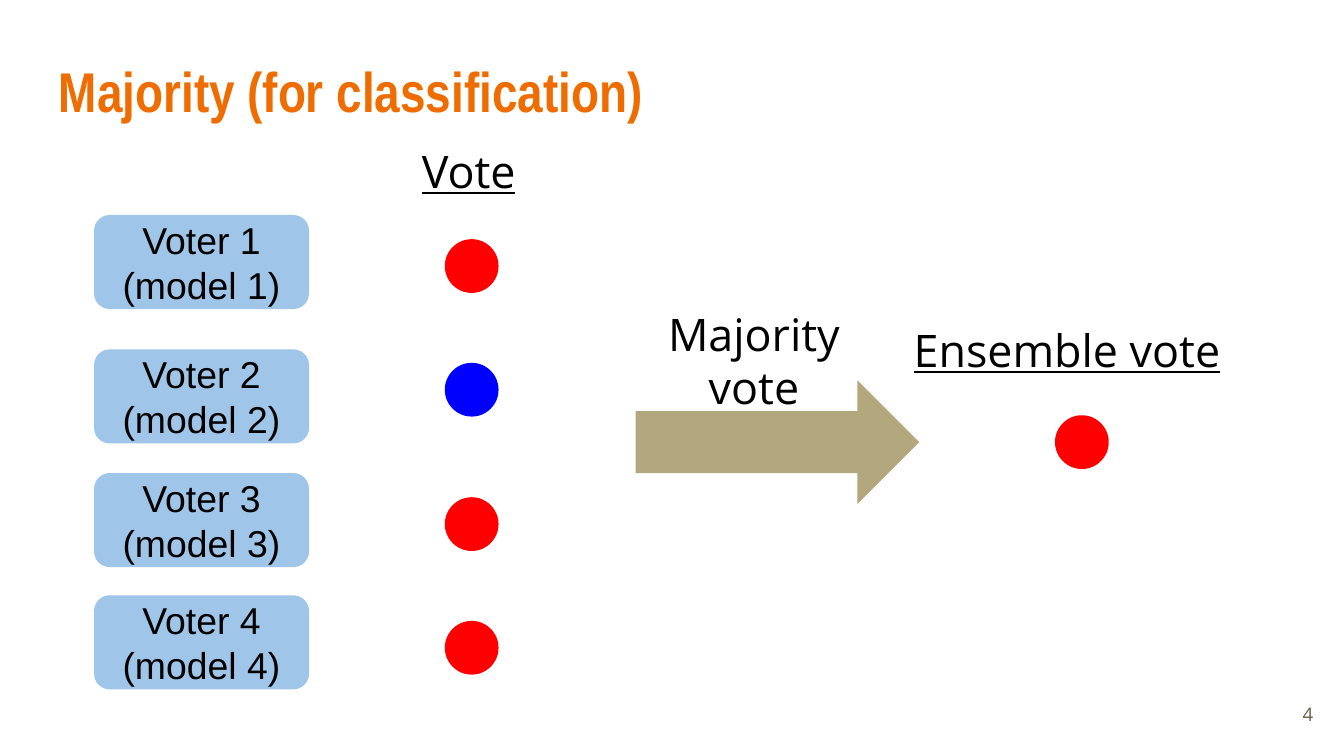
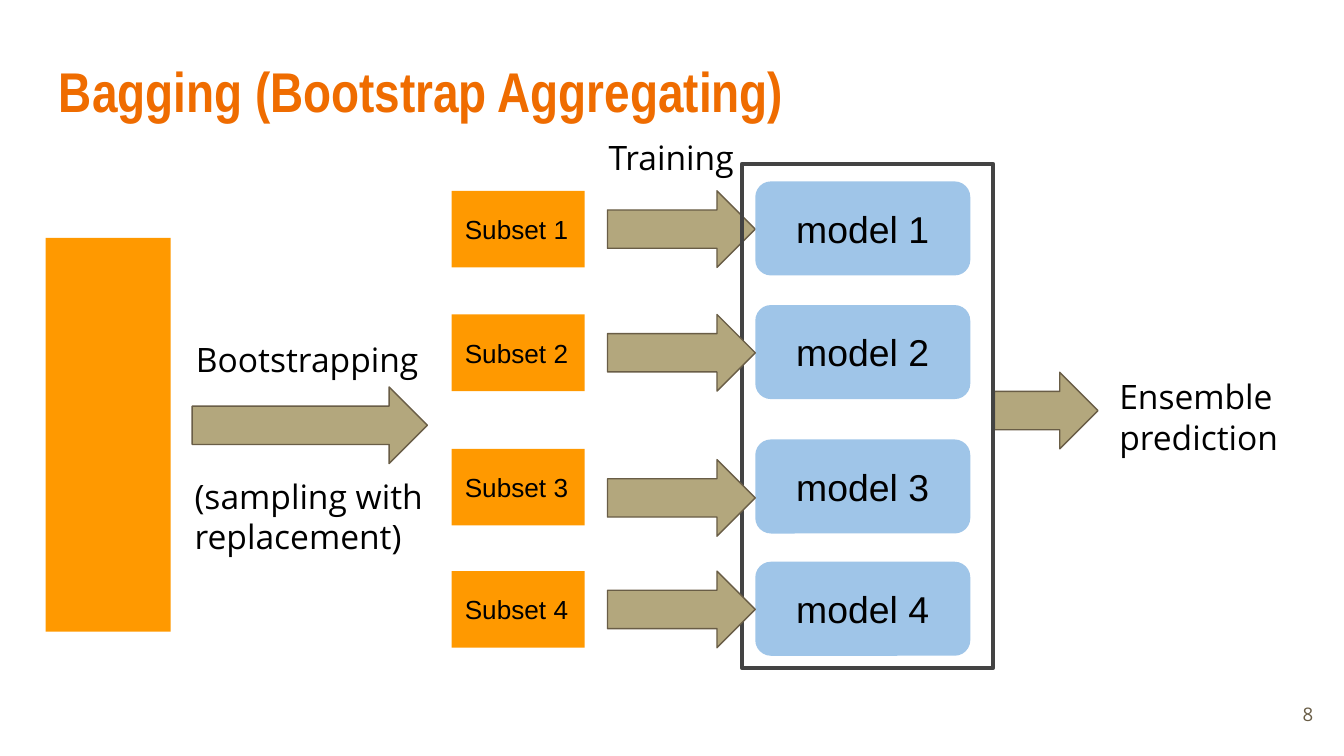
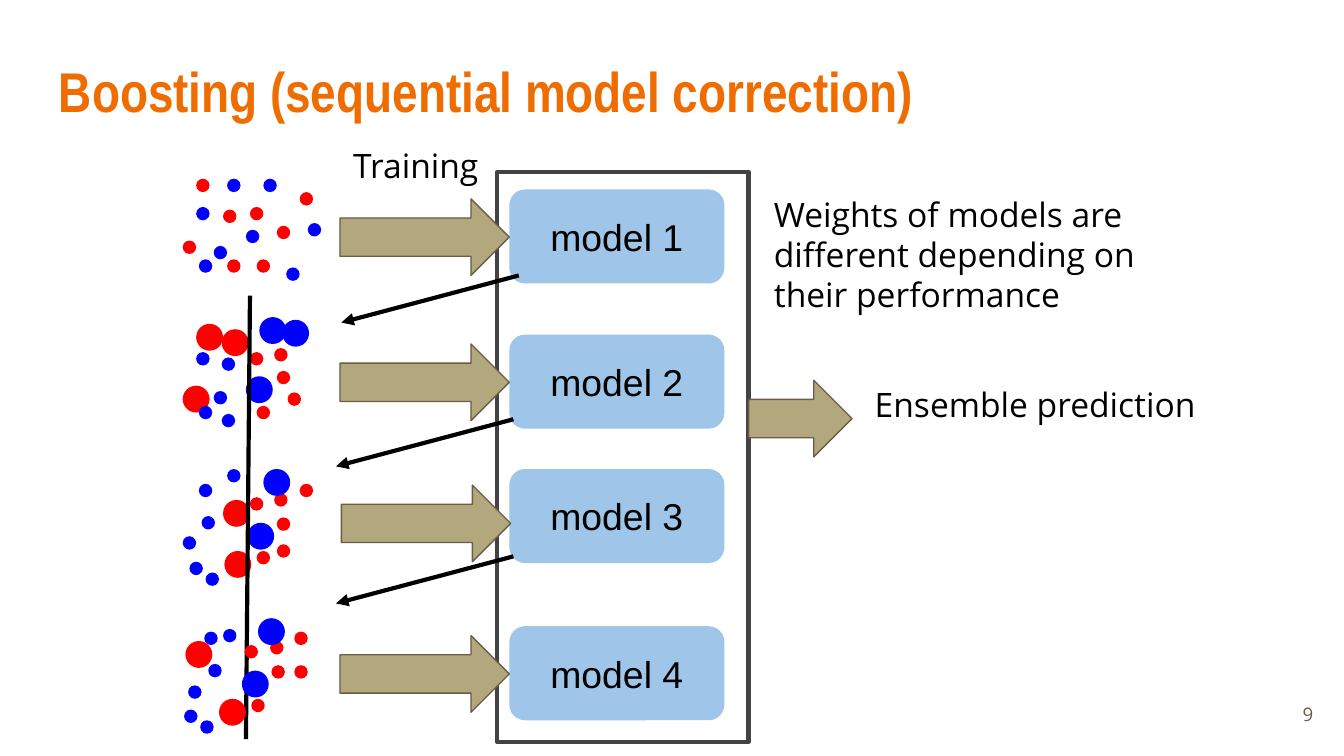
from lxml import etree
from pptx import Presentation
from pptx.dml.color import RGBColor
from pptx.enum.shapes import MSO_CONNECTOR, MSO_SHAPE
from pptx.enum.text import MSO_ANCHOR, PP_ALIGN
from pptx.oxml.ns import qn
from pptx.util import Inches, Pt

RECT = MSO_SHAPE.RECTANGLE
ROUND = MSO_SHAPE.ROUNDED_RECTANGLE
ARROW = MSO_SHAPE.RIGHT_ARROW
DOT = MSO_SHAPE.FLOWCHART_CONNECTOR
STRAIGHT = MSO_CONNECTOR.STRAIGHT
TOP, MIDDLE = MSO_ANCHOR.TOP, MSO_ANCHOR.MIDDLE
LEFT, CENTER, RIGHT = PP_ALIGN.LEFT, PP_ALIGN.CENTER, PP_ALIGN.RIGHT

BLACK = RGBColor(0x00, 0x00, 0x00)
TITLE = RGBColor(0xEF, 0x6C, 0x00)
ORANGE = RGBColor(0xFF, 0x99, 0x00)
SKY = RGBColor(0x9F, 0xC5, 0xE8)
KHAKI = RGBColor(0xB3, 0xA7, 0x7D)
BROWN = RGBColor(0x69, 0x5D, 0x46)
GRAY = RGBColor(0x43, 0x43, 0x43)
RED = RGBColor(0xFF, 0x00, 0x00)
BLUE = RGBColor(0x00, 0x00, 0xFF)

SANS, ARIAL, NARROW = "Open Sans", "Arial", "Arial Narrow"
SMALL, BIG = 0.1, 0.2

FIRST = [
    (RED, SMALL, [(1.46, 1.33), (2.23, 1.43), (1.36, 1.79), (1.66, 1.56),
                  (1.69, 1.93), (1.86, 1.54), (1.91, 1.93), (2.06, 1.68)]),
    (BLUE, SMALL, [(1.59, 1.83), (1.69, 1.33), (1.96, 1.33), (1.46, 1.54),
                   (2.29, 1.66), (1.83, 1.71), (2.13, 1.99), (1.48, 1.93)]),
]
SECOND = [
    (RED, BIG, [(1.46, 2.41), (1.65, 2.45), (1.36, 2.87)]),
    (RED, SMALL, [(2.04, 2.59), (2.14, 2.92), (1.86, 2.62), (1.91, 3.02),
                  (2.06, 2.76)]),
    (BLUE, SMALL, [(1.59, 2.91), (1.65, 2.66), (1.46, 2.62), (1.65, 3.08),
                   (1.48, 3.02)]),
    (BLUE, BIG, [(2.1, 2.38), (1.93, 2.36), (1.83, 2.8)]),
]
THIRD = [
    (RED, SMALL, [(2.04, 3.67), (2.23, 3.6), (2.06, 4.05), (1.86, 3.7),
                  (1.91, 4.1), (2.06, 3.85)]),
    (RED, BIG, [(1.66, 3.72), (1.67, 4.1)]),
    (BLUE, SMALL, [(1.41, 4.18), (1.69, 3.49), (1.48, 3.6), (1.5, 3.84),
                   (1.53, 4.26), (1.36, 3.99)]),
    (BLUE, BIG, [(1.96, 3.49), (1.84, 3.89)]),
]
FOURTH = [
    (RED, SMALL, [(2.01, 4.77), (2.19, 4.7), (1.82, 4.8), (1.87, 5.2),
                  (2.02, 4.95), (2.19, 4.95)]),
    (BLUE, SMALL, [(1.37, 5.28), (1.66, 4.68), (1.52, 4.7), (1.55, 4.94),
                   (1.49, 5.36), (1.4, 5.1)]),
    (BLUE, BIG, [(1.92, 4.6), (1.8, 4.99)]),
    (RED, BIG, [(1.63, 5.2), (1.38, 4.77)]),
]


def write(shape, text, size=18, font=SANS, color=BLACK, bold=False,
          under=False, align=LEFT, anchor=TOP):
    """Fill a shape with text, one paragraph for each line."""
    frame = shape.text_frame
    frame.word_wrap = True
    frame.vertical_anchor = anchor
    frame.margin_left = frame.margin_right = Inches(0.1)
    frame.margin_top = frame.margin_bottom = Inches(0.1)
    frame.text = text
    for para in frame.paragraphs:
        para.alignment = align
        for run in para.runs:
            run.font.size = Pt(size)
            run.font.name = font
            run.font.color.rgb = color
            run.font.bold = bold
            run.font.underline = under


def label(slide, text, x, y, w, h, **style):
    """Add a text box."""
    box = slide.shapes.add_textbox(Inches(x), Inches(y), Inches(w), Inches(h))
    write(box, text, **style)


def block(slide, kind, x, y, w, h, fill=None, line=None, width=0.75):
    """Add a preset shape with flat fill and optional outline."""
    shape = slide.shapes.add_shape(
        kind, Inches(x), Inches(y), Inches(w), Inches(h))
    shape.shadow.inherit = False
    if fill is None:
        shape.fill.background()
    else:
        shape.fill.solid()
        shape.fill.fore_color.rgb = fill
    if line is None:
        shape.line.fill.background()
    else:
        shape.line.color.rgb = line
        shape.line.width = Pt(width)
    return shape


def model(slide, text, x, y):
    """Add a rounded model box."""
    box = block(slide, ROUND, x, y, 1.6, 0.7, SKY)
    write(box, text, size=20, font=ARIAL, align=CENTER, anchor=MIDDLE)


def subset(slide, text, y):
    """Add a box for one data subset."""
    box = block(slide, RECT, 3.36, y, 0.99, 0.57, ORANGE)
    write(box, text, size=14, font=ARIAL, anchor=MIDDLE)


def arrow(slide, x, y, w):
    """Add an outlined block arrow."""
    block(slide, ARROW, x, y, w, 0.57, KHAKI, BROWN)


def panel(slide, x, y, h):
    """Add the open frame around the models."""
    block(slide, RECT, x, y, 1.87, h, line=GRAY, width=2.25)


def vote(slide, x, y, color):
    """Add a round vote mark."""
    block(slide, DOT, x, y, 0.4, 0.4, color)


def cloud(slide, groups):
    """Scatter dots given by colour and size."""
    for color, size, spots in groups:
        for x, y in spots:
            block(slide, DOT, x, y, size, size, color)


def line(slide, x1, y1, x2, y2, head=False):
    """Add a straight black line, with an arrowhead if asked."""
    link = slide.shapes.add_connector(
        STRAIGHT, Inches(x1), Inches(y1), Inches(x2), Inches(y2))
    link.line.color.rgb = BLACK
    link.line.width = Pt(2.25)
    props = link._element.spPr
    if head:
        etree.SubElement(props.find(qn("a:ln")), qn("a:tailEnd"),
                         type="triangle")
    etree.SubElement(props, qn("a:effectLst"))


def start(deck, title, page):
    """Add a blank slide with its title and page number."""
    slide = deck.slides.add_slide(deck.slide_layouts[6])
    label(slide, title, 0.34, 0.32, 9.32, 0.72, size=30, font=NARROW,
          color=TITLE, bold=True)
    label(slide, str(page), 9.27, 5.1, 0.6, 0.43, size=10, color=BROWN,
          align=RIGHT, anchor=MIDDLE)
    return slide


def majority(deck):
    """Build the majority vote slide."""
    slide = start(deck, "Majority (for classification)", 4)
    rows = [(1.6, 1.78, RED), (2.6, 2.7, BLUE), (3.52, 3.7, RED),
            (4.43, 4.62, RED)]
    for num, (top, mark, color) in enumerate(rows, 1):
        model(slide, f"Voter {num}\n(model {num})", 0.7, top)
        vote(slide, 3.31, mark, color)
    label(slide, "Vote", 3.04, 0.97, 1.3, 0.43, size=24, under=True)
    block(slide, ARROW, 4.73, 2.83, 2.11, 0.92, KHAKI)
    label(slide, "Majority vote", 4.71, 2.18, 1.8, 0.92, size=24,
          align=CENTER)
    vote(slide, 7.85, 3.09, RED)
    label(slide, "Ensemble vote", 6.7, 2.3, 2.96, 0.43, size=24, under=True)


def bagging(deck):
    """Build the bagging slide."""
    slide = start(deck, "Bagging (Bootstrap Aggregating)", 8)
    block(slide, RECT, 0.34, 1.77, 0.93, 2.93, ORANGE)
    arrow(slide, 1.43, 2.88, 1.75)
    label(slide, "Bootstrapping", 1.36, 2.42, 1.93, 0.57)
    label(slide, "(sampling with replacement)", 1.35, 3.44, 1.93, 0.57)
    label(slide, "Training", 4.43, 0.92, 1.16, 0.57)
    arrow(slide, 4.52, 1.42, 1.1)
    rows = [(1.42, 1.35), (2.34, 2.27), (3.34, 3.27), (4.25, 4.18)]
    for num, (data, top) in enumerate(rows, 1):
        subset(slide, f"Subset {num}", data)
        model(slide, f"model {num}", 5.62, top)
    arrow(slide, 7.4, 2.77, 0.77)
    panel(slide, 5.52, 1.22, 3.75)
    for top in (2.34, 3.42, 4.25):
        arrow(slide, 4.52, top, 1.1)
    label(slide, "Ensemble prediction", 8.23, 2.7, 1.6, 0.57)


def boosting(deck):
    """Build the boosting slide."""
    slide = start(deck, "Boosting (sequential model correction)", 9)
    panel(slide, 3.7, 1.28, 4.24)
    label(slide, "Training", 2.53, 0.98, 1.16, 0.57)
    rows = [(1.41, 2.53, 1.48), (2.49, 2.53, 2.56), (3.49, 2.54, 3.61),
            (4.66, 2.53, 4.73)]
    for num, (top, x, y) in enumerate(rows, 1):
        model(slide, f"model {num}", 3.79, top)
        arrow(slide, x, y, 1.26)
    arrow(slide, 5.57, 2.83, 0.77)
    label(slide, "Ensemble prediction", 6.41, 2.76, 2.81, 0.57)
    for groups in (FIRST, SECOND, THIRD):
        cloud(slide, groups)
    line(slide, 1.86, 2.2, 1.83, 5.5)
    cloud(slide, FOURTH)
    for x, y in ((3.86, 2.05), (3.82, 3.12), (3.82, 4.14)):
        line(slide, x, y, x - 1.32, y + 0.35, head=True)
    label(slide, "Weights of models are different depending on "
          "their performance", 5.66, 1.34, 3.18, 0.57)


def main():
    """Build and save the deck."""
    deck = Presentation()
    deck.slide_width = Inches(10)
    deck.slide_height = Inches(10) * 9 // 16
    majority(deck)
    bagging(deck)
    boosting(deck)
    deck.save("out.pptx")


if __name__ == "__main__":
    main()
